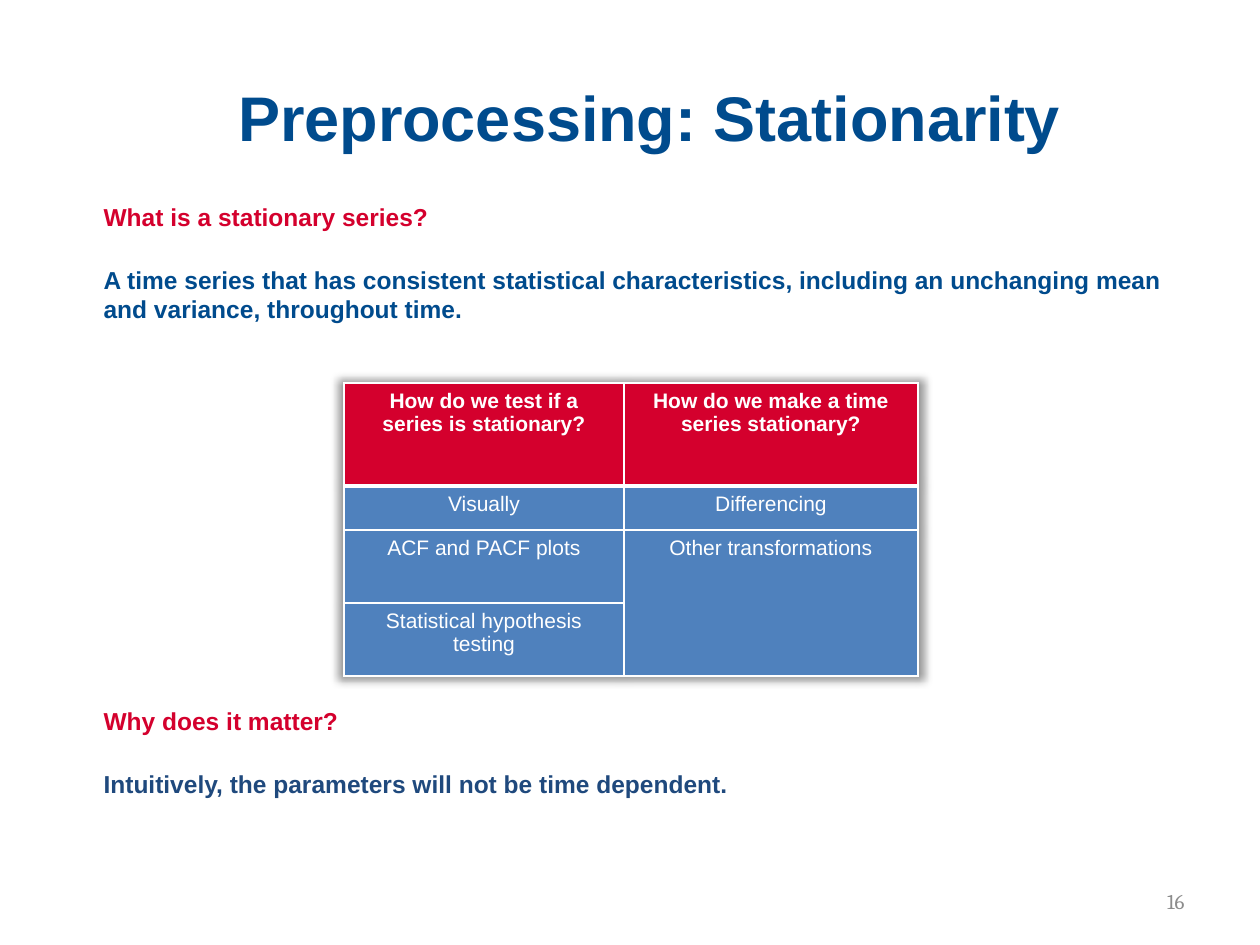
"""Build a slide that explains stationarity of a time series."""
from lxml import etree
from pptx import Presentation
from pptx.dml.color import RGBColor
from pptx.enum.text import MSO_ANCHOR, MSO_AUTO_SIZE, PP_ALIGN
from pptx.oxml import parse_xml
from pptx.oxml.ns import nsdecls, qn
from pptx.util import Emu, Pt

LEFT, CENTER, RIGHT = PP_ALIGN.LEFT, PP_ALIGN.CENTER, PP_ALIGN.RIGHT
TOP, MIDDLE = MSO_ANCHOR.TOP, MSO_ANCHOR.MIDDLE
NO_AUTOFIT = MSO_AUTO_SIZE.NONE

BLUE = RGBColor(0x00, 0x4B, 0x8D)
NAVY = RGBColor(0x1F, 0x49, 0x7D)
RED = RGBColor(0xD4, 0x00, 0x2D)
STEEL = RGBColor(0x4F, 0x81, 0xBD)
GRAY = RGBColor(0x8C, 0x8C, 0x8C)
WHITE = RGBColor(0xFF, 0xFF, 0xFF)

SCALE = 914400 / 126
PAGE_SIZE = (1260, 945)
TITLE_BOX = (102, 38, 1095, 157)
BODY_BOX = (91, 195, 1106, 668)
NUMBER_BOX = (903, 876, 294, 50)
TABLE_ORIGIN = (344, 383)
COLUMN_WIDTHS = (280, 294)
ROW_HEIGHTS = (103, 44, 73, 73)

TITLE = "Preprocessing: Stationarity"
PAGE_NUMBER = "16"
BODY = [
    ("What is a stationary series?", RED, 0),
    ("A time series that has consistent statistical characteristics, "
     "including an unchanging mean and variance, throughout time.", BLUE, 19),
    ("Why does it matter?", RED, 218),
    ("Intuitively, the parameters will not be time dependent.", NAVY, 19),
]
TABLE_ROWS = [
    ("How do we test if a series is stationary?",
     "How do we make a time series stationary?"),
    ("Visually", "Differencing"),
    ("ACF and PACF plots", "Other transformations"),
    ("Statistical hypothesis testing", ""),
]


def px(length):
    return Emu(round(length * SCALE))


def place(box, area):
    box.left, box.top, box.width, box.height = map(px, area)


def prepare(frame, anchor):
    frame.word_wrap = True
    frame.auto_size = NO_AUTOFIT
    frame.vertical_anchor = anchor


def write(para, text, size, color, align, bold=False, font="Arial"):
    para.alignment = align
    span = para.add_run()
    span.text = text
    span.font.name = font
    span.font.size = Pt(size)
    span.font.bold = bold
    span.font.color.rgb = color


def add_border(cell, side, points):
    properties = cell._tc.get_or_add_tcPr()
    properties.append(parse_xml(
        f'<a:ln{side} {nsdecls("a")} w="{Pt(points)}"><a:solidFill>'
        f'<a:srgbClr val="{WHITE}"/></a:solidFill></a:ln{side}>'))


def add_body(page):
    body = page.placeholders[1]
    place(body, BODY_BOX)
    frame = body.text_frame
    prepare(frame, TOP)
    for index, (text, color, gap) in enumerate(BODY):
        para = frame.add_paragraph() if index else frame.paragraphs[0]
        properties = para._p.get_or_add_pPr()
        properties.set("marL", "0")
        properties.set("indent", "0")
        etree.SubElement(properties, qn("a:buNone"))
        para.line_spacing = Pt(17)
        para.space_before = Pt(gap)
        write(para, text, 14, color, LEFT, bold=True)


def add_question_table(page):
    area = (*TABLE_ORIGIN, sum(COLUMN_WIDTHS), sum(ROW_HEIGHTS))
    table = page.shapes.add_table(
        len(ROW_HEIGHTS), len(COLUMN_WIDTHS), *map(px, area)).table
    for column, width in zip(table.columns, COLUMN_WIDTHS):
        column.width = px(width)
    for row, height in zip(table.rows, ROW_HEIGHTS):
        row.height = px(height)
    for r, texts in enumerate(TABLE_ROWS):
        for c, text in enumerate(texts):
            cell = table.cell(r, c)
            for side in "LRTB":
                heavy = (r, side) in ((0, "B"), (1, "T"))
                add_border(cell, side, 3 if heavy else 1)
            cell.fill.solid()
            cell.fill.fore_color.rgb = STEEL if r else RED
            if text:
                write(cell.text_frame.paragraphs[0], text, 12, WHITE, CENTER, bold=r == 0)
    table.cell(2, 1).merge(table.cell(3, 1))
    table._tbl.tblPr.insert(0, parse_xml(
        f'<a:effectLst {nsdecls("a")}><a:outerShdw blurRad="63500" dist="0" '
        'sx="102000" sy="102000" algn="ctr" rotWithShape="0"><a:srgbClr val="000000">'
        '<a:alpha val="40000"/></a:srgbClr></a:outerShdw></a:effectLst>'))


def main():
    deck = Presentation()
    deck.slide_width, deck.slide_height = map(px, PAGE_SIZE)
    page = deck.slides.add_slide(deck.slide_layouts[1])

    title = page.shapes.title
    place(title, TITLE_BOX)
    prepare(title.text_frame, MIDDLE)
    write(title.text_frame.paragraphs[0], TITLE, 36, BLUE, CENTER, bold=True)

    number = page.shapes.add_textbox(*map(px, NUMBER_BOX))
    prepare(number.text_frame, MIDDLE)
    write(number.text_frame.paragraphs[0], PAGE_NUMBER, 12, GRAY, RIGHT, font="Cambria")

    add_body(page)
    add_question_table(page)
    deck.save("out.pptx")


if __name__ == "__main__":
    main()
